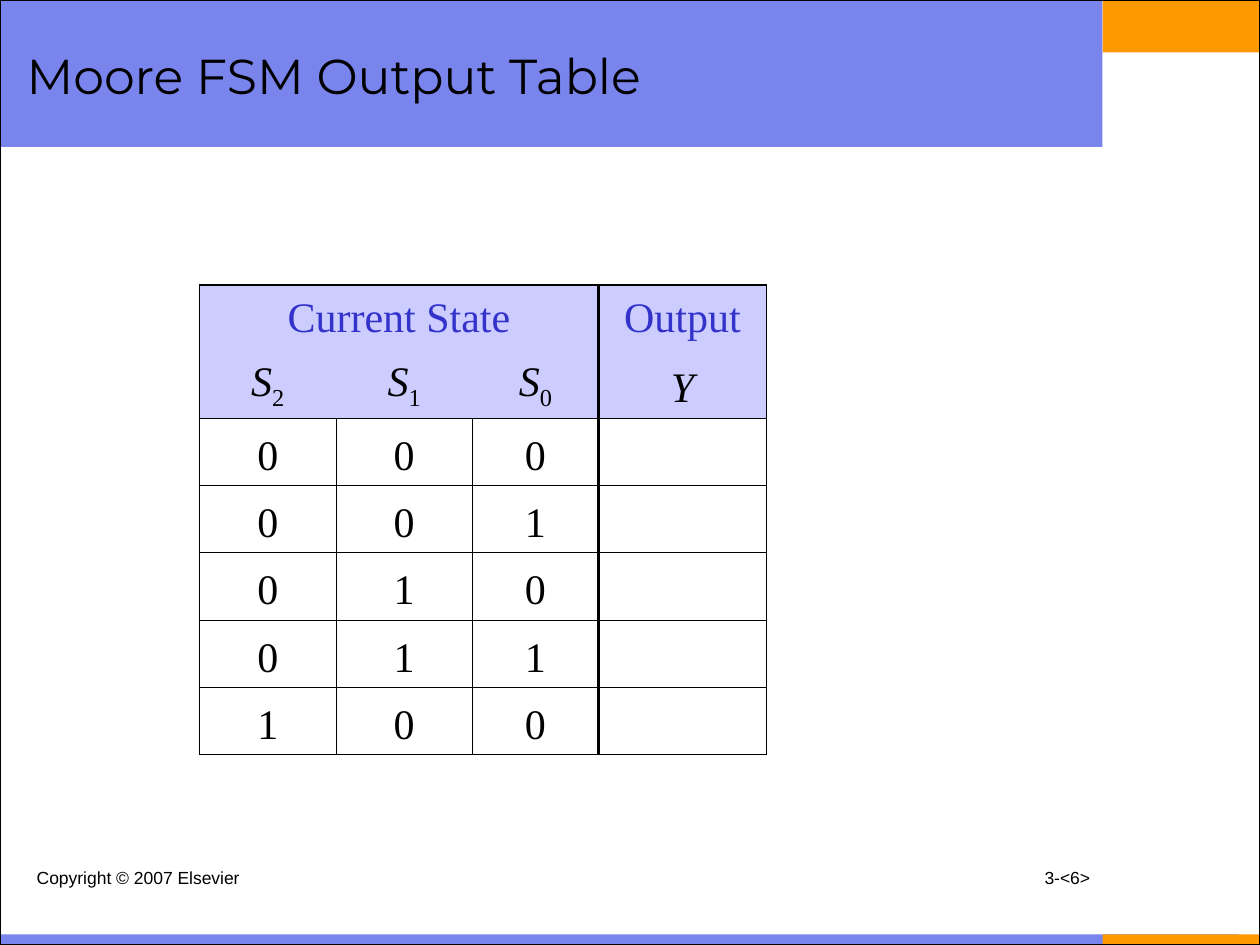
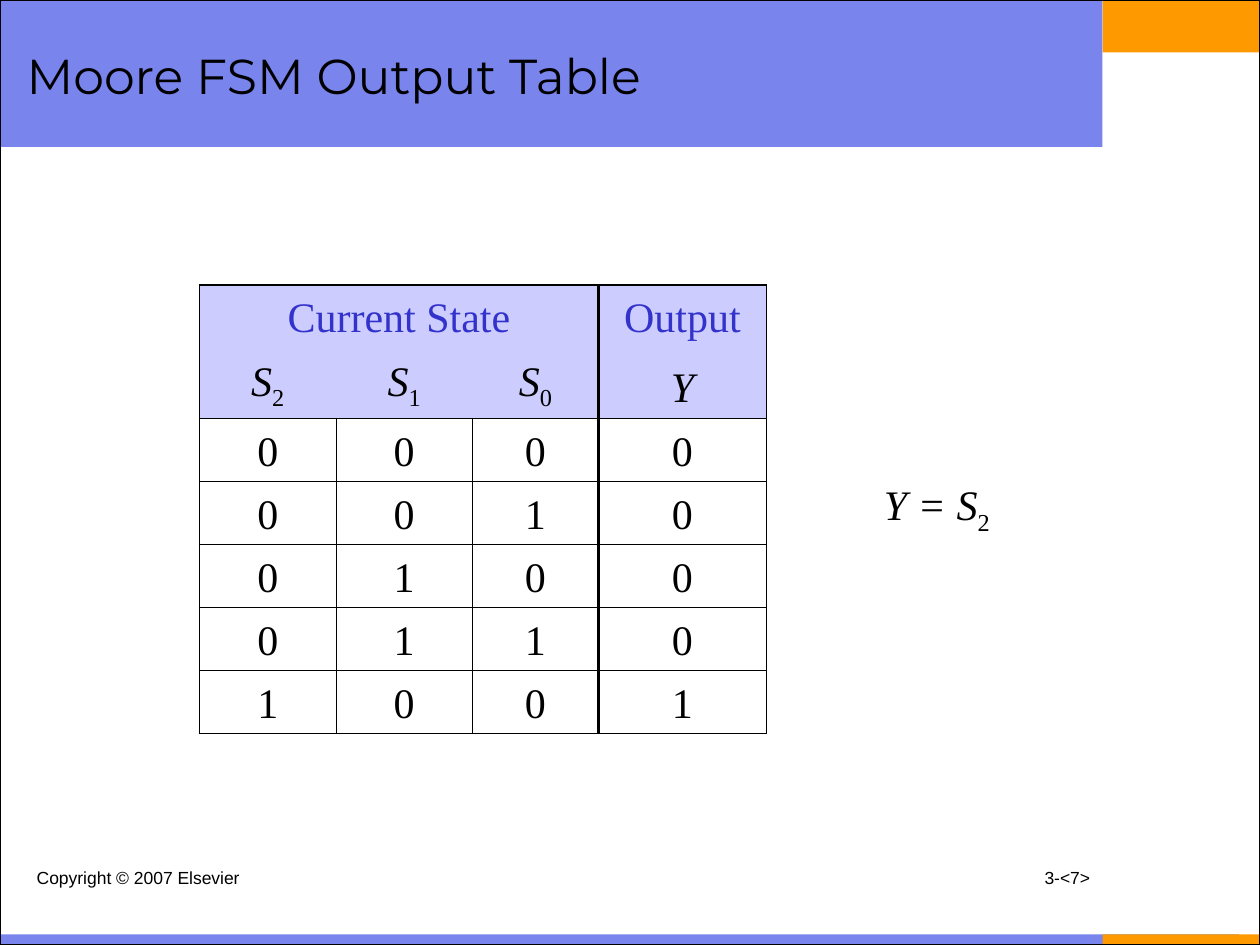
from lxml.etree import SubElement
from pptx import Presentation
from pptx.dml.color import RGBColor
from pptx.enum.shapes import MSO_SHAPE as Preset
from pptx.enum.text import MSO_ANCHOR as Anchor, MSO_AUTO_SIZE as AutoSize, PP_ALIGN as Align
from pptx.oxml.ns import qn
from pptx.util import Pt

BLACK = RGBColor(0x00, 0x00, 0x00)
BAND_BLUE = RGBColor(0x79, 0x84, 0xED)
ORANGE = RGBColor(0xFF, 0x99, 0x00)
HEADER_FILL = RGBColor(0xCC, 0xCC, 0xFF)
HEADER_TEXT = RGBColor(0x33, 0x33, 0xCC)

TITLE_FONT, BODY_FONT, FOOTER_FONT = "Montserrat", "Times New Roman", "Arial"
PLAIN_TABLE_STYLE = "{2D5ABB26-0587-4C30-8999-92F81FD0307C}"

# Table geometry and line widths
COLUMN_WIDTHS = [78, 78, 72, 96]
HEADER_HEIGHTS = [35.8, 37.4]
OUTER, DIVIDER, INNER = 1.08, 1.47, 0.45

STATES = ["000", "001", "010", "011", "100"]


def place(shape, left, top, width, height):
    shape.left, shape.top = Pt(left), Pt(top)
    shape.width, shape.height = Pt(width), Pt(height)


def format_paragraph(paragraph, font_name, size, color=BLACK, align=Align.LEFT):
    paragraph.alignment = align
    font = paragraph.font
    font.name, font.size, font.color.rgb = font_name, Pt(size), color


def write_symbol(paragraph, text):
    """Write an italic symbol; what follows an underscore is an upright subscript."""
    symbol, _, index = text.partition("_")
    run = paragraph.add_run()
    run.text, run.font.italic = symbol, True
    if index:
        run = paragraph.add_run()
        run.text, run.font.italic = index, False
        run.font._element.set("baseline", "-25000")


def add_text_box(slide, left, top, width, height):
    box = slide.shapes.add_textbox(Pt(left), Pt(top), Pt(width), Pt(height))
    box.text_frame.word_wrap = True
    return box.text_frame.paragraphs[0]


# Bands and frame, kept on the layout
def add_rectangle(slide, left, top, width, height, fill=None):
    shape = slide.shapes.add_shape(Preset.RECTANGLE, Pt(left), Pt(top), Pt(width), Pt(height))
    shape.shadow.inherit = False
    if fill is None:
        shape.fill.background()
        shape.line.color.rgb, shape.line.width = BLACK, Pt(0.75)
    else:
        shape.fill.solid()
        shape.fill.fore_color.rgb = fill
        shape.line.fill.background()
    return shape


def decorate_layout(slide):
    """Draw the shared shapes and hand them over to the slide's layout."""
    shapes = [
        add_rectangle(slide, 630, 0, 90, 30, ORANGE),
        add_rectangle(slide, 0, 534, 708, 6, BAND_BLUE),
        add_rectangle(slide, 630, 534, 90, 6, ORANGE),
        add_rectangle(slide, 0, 0, 630, 84, BAND_BLUE),
        add_rectangle(slide, 0, 0, 720, 540),
    ]
    for number, shape in enumerate(shapes, start=101):
        shape.element.nvSpPr.cNvPr.set("id", str(number))
        slide.slide_layout.shapes.element.append(shape.element)


# Title and footer
def set_title(slide, text):
    title = slide.shapes.title
    place(title, 8, 8, 612, 70)
    frame = title.text_frame
    frame.text = text
    frame.auto_size, frame.vertical_anchor = AutoSize.NONE, Anchor.MIDDLE
    format_paragraph(frame.paragraphs[0], TITLE_FONT, 28)


def add_footer(slide, page):
    for left, width, align, text in [
        (13.9, 228, Align.LEFT, "Copyright © 2007 Elsevier"),
        (480, 150, Align.RIGHT, f"3-<{page}>"),
    ]:
        paragraph = add_text_box(slide, left, 492, width, 36)
        paragraph.text = text
        format_paragraph(paragraph, FOOTER_FONT, 10, align=align)


# Output table
def column_line(row, edge):
    if edge == 3:
        return DIVIDER
    if edge in (0, 4):
        return OUTER
    return INNER if row >= len(HEADER_HEIGHTS) else None


def row_line(edge, row_count):
    if edge in (0, row_count):
        return OUTER
    return INNER if edge >= len(HEADER_HEIGHTS) else None


def set_borders(cell, widths):
    properties = cell._tc.get_or_add_tcPr()
    for side, width in zip("LRTB", widths):
        if width:
            line = SubElement(properties, qn(f"a:ln{side}"), w=str(Pt(width)))
            fill = SubElement(line, qn("a:solidFill"))
            SubElement(fill, qn("a:srgbClr"), val=str(BLACK))


def format_cell(cell, row, column, row_count):
    last_edge = column + (cell.span_width if cell.is_merge_origin else 1)
    set_borders(cell, [
        column_line(row, column), column_line(row, last_edge),
        row_line(row, row_count), row_line(row + 1, row_count),
    ])
    cell.vertical_anchor = Anchor.BOTTOM
    if row < len(HEADER_HEIGHTS):
        cell.fill.solid()
        cell.fill.fore_color.rgb = HEADER_FILL
    else:
        cell.fill.background()


def add_output_table(slide, outputs, body_height):
    rows = [["Current State", "", "", "Output"], ["S_2", "S_1", "S_0", "Y"]]
    rows += [[*state, output] for state, output in zip(STATES, outputs)]
    heights = HEADER_HEIGHTS + [body_height] * len(STATES)
    frame = slide.shapes.add_table(len(rows), len(COLUMN_WIDTHS), Pt(114), Pt(163),
                                   Pt(sum(COLUMN_WIDTHS)), Pt(sum(heights)))
    table = frame.table
    frame.element.find(".//" + qn("a:tableStyleId")).text = PLAIN_TABLE_STYLE
    table.first_row = table.horz_banding = False
    for column, width in zip(table.columns, COLUMN_WIDTHS):
        column.width = Pt(width)
    for row, height in zip(table.rows, heights):
        row.height = Pt(height)
    table.cell(0, 0).merge(table.cell(0, 2))

    for row, texts in enumerate(rows):
        for column, text in enumerate(texts):
            cell = table.cell(row, column)
            format_cell(cell, row, column, len(rows))
            if not text:
                continue
            paragraph = cell.text_frame.paragraphs[0]
            if row == 1:
                write_symbol(paragraph, text)
            else:
                paragraph.text = text
            color = HEADER_TEXT if row == 0 else BLACK
            format_paragraph(paragraph, BODY_FONT, 24, color, Align.CENTER)


def add_equation(slide, text):
    paragraph = add_text_box(slide, 498, 270, 132, 54)
    write_symbol(paragraph, text)
    format_paragraph(paragraph, BODY_FONT, 24)


def add_table_slide(presentation, page, outputs, body_height):
    slide = presentation.slides.add_slide(presentation.slide_layouts[5])
    set_title(slide, "Moore FSM Output Table")
    add_footer(slide, page)
    add_output_table(slide, outputs, body_height)
    return slide


def main():
    presentation = Presentation()
    presentation.slide_width, presentation.slide_height = Pt(720), Pt(540)

    # The table to fill in, then the solved one
    question = add_table_slide(presentation, 6, [""] * len(STATES), 38.45)
    decorate_layout(question)
    answer = add_table_slide(presentation, 7, "00001", 35.7)
    add_equation(answer, "Y = S_2")

    presentation.save("out.pptx")


if __name__ == "__main__":
    main()
